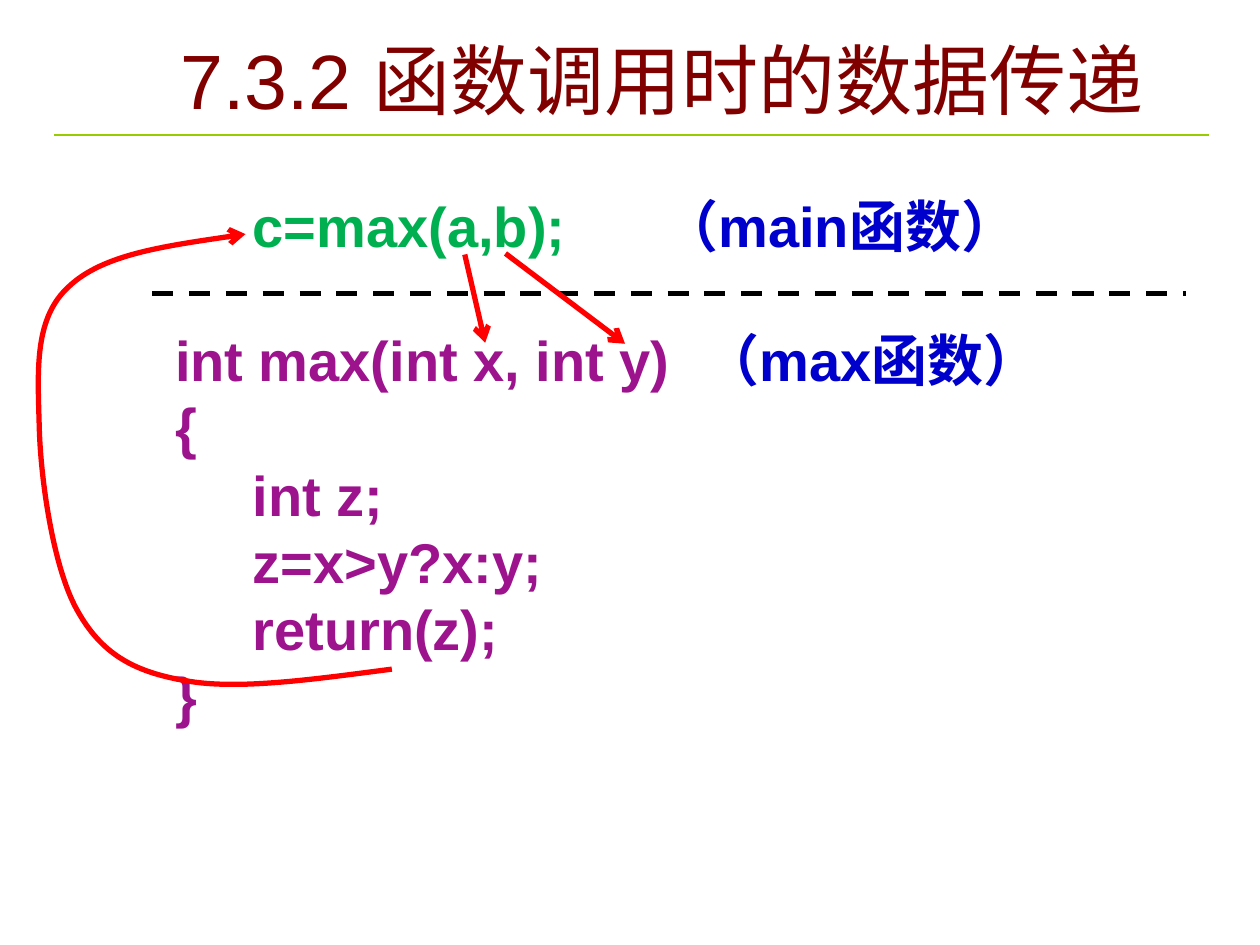
from lxml.etree import SubElement
from pptx import Presentation
from pptx.dml.color import RGBColor
from pptx.enum.dml import MSO_LINE_DASH_STYLE as Dash
from pptx.enum.shapes import MSO_CONNECTOR_TYPE as Connector
from pptx.enum.text import MSO_ANCHOR as Anchor, MSO_AUTO_SIZE as AutoSize, PP_ALIGN as Align
from pptx.oxml.ns import qn
from pptx.util import Cm, Pt

BLACK = RGBColor(0x00, 0x00, 0x00)
MAROON = RGBColor(0x80, 0x00, 0x00)
LIME = RGBColor(0x99, 0xCC, 0x00)
GREEN = RGBColor(0x00, 0xB0, 0x50)
BLUE = RGBColor(0x00, 0x00, 0xCC)
PURPLE = RGBColor(0x9D, 0x13, 0x8D)
RED = RGBColor(0xFF, 0x00, 0x00)

LINE_PITCH = Pt(38.4)


def add_text(paragraph, text, *, size=32, color=BLACK, bold=True, font="Arial"):
    run = paragraph.add_run()
    run.text = text
    run.font.name = font
    run.font.size = Pt(size)
    run.font.bold = bold
    run.font.color.rgb = color


class SlideBuilder:
    """Holds the current slide and the shared line style."""

    def __init__(self, presentation):
        self.slide = presentation.slides.add_slide(presentation.slide_layouts[5])
        self.shapes = self.slide.shapes

    def style_line(self, shape, color, width, dash=None, arrow=False):
        shape.line.color.rgb = color
        shape.line.width = Pt(width)
        if dash:
            shape.line.dash_style = dash
        properties = shape._element.spPr
        if arrow:
            SubElement(properties.find(qn("a:ln")), qn("a:tailEnd"), type="arrow")
        if properties.find(qn("a:effectLst")) is None:
            SubElement(properties, qn("a:effectLst"))

    def title(self, text, left, top, width, height):
        shape = self.shapes.title
        shape.left, shape.top = Cm(left), Cm(top)
        shape.width, shape.height = Cm(width), Cm(height)
        frame = shape.text_frame
        frame.auto_size = AutoSize.NONE
        frame.vertical_anchor = Anchor.MIDDLE
        paragraph = frame.paragraphs[0]
        paragraph.alignment = Align.CENTER
        add_text(paragraph, text, size=44, color=MAROON, bold=False)

    def line(self, start, end, color, width=3, **style):
        points = [Cm(value) for value in (*start, *end)]
        connector = self.shapes.add_connector(Connector.STRAIGHT, *points)
        self.style_line(connector, color, width, **style)

    def curve(self, points, color, width=3):
        """Draw cubic curves: a start, then two handles and an end for each."""
        start, *rest = [(Cm(x), Cm(y)) for x, y in points]
        builder = self.shapes.build_freeform(*start)
        builder.add_line_segments(rest, close=False)
        shape = builder.convert_to_shape()
        shape.shadow.inherit = False
        shape.fill.background()
        path = next(shape._element.iter(qn("a:path")))
        segments = path.findall(qn("a:lnTo"))
        for first in range(0, len(segments), 3):
            bezier = SubElement(path, qn("a:cubicBezTo"))
            for segment in segments[first:first + 3]:
                bezier.append(segment[0])
                path.remove(segment)
        self.style_line(shape, color, width, arrow=True)

    def code(self, lines, left, top, width, height):
        """Each line is (code, color, note, note position, space before)."""
        box = self.shapes.add_textbox(Cm(left), Cm(top), Cm(width), Cm(height))
        frame = box.text_frame
        frame.word_wrap = True
        for index, (text, color, note, position, gap) in enumerate(lines):
            paragraph = frame.paragraphs[0] if index == 0 else frame.add_paragraph()
            if note:
                tabs = SubElement(paragraph._p.get_or_add_pPr(), qn("a:tabLst"))
                SubElement(tabs, qn("a:tab"), pos=str(Cm(position)), algn="l")
            paragraph.line_spacing = LINE_PITCH
            if gap:
                paragraph.space_before = gap
            add_text(paragraph, text, color=color)
            if note:
                add_text(paragraph, "\t" + note, color=BLUE)


def main():
    presentation = Presentation()
    presentation.slide_width, presentation.slide_height = Cm(25.4), Cm(19.05)
    builder = SlideBuilder(presentation)

    # Title and its rule
    builder.line((1.09, 2.72), (24.38, 2.72), LIME, width=1.5)
    builder.title("7.3.2 函数调用时的数据传递", 3, 0.53, 20.7, 2.13)

    # Caller and called function
    body = ["{", "     int z;", "     z=x>y?x:y;", "     return(z);", "}"]
    builder.code([
        ("     c=max(a,b);", GREEN, "（main函数）", 9.82, None),
        ("int max(int x, int y)", PURPLE, "（max函数）", 10.65, LINE_PITCH),
        *((text, PURPLE, None, None, None) for text in body),
    ], 3.28, 3.73, 21.82, 12.12)
    builder.line((3.07, 5.92), (23.9, 5.92), BLACK, dash=Dash.DASH)

    # Arguments passed down
    builder.line((9.37, 5.13), (9.78, 6.91), RED, arrow=True)
    builder.line((10.19, 5.11), (12.6, 6.93), RED, arrow=True)

    # Result returned to the caller
    builder.curve([
        (7.9, 13.49),
        (6.35, 13.69), (4.78, 13.92), (3.73, 13.72),
        (2.67, 13.54), (2.03, 13.16), (1.55, 12.29),
        (1.07, 11.43), (0.81, 9.63), (0.79, 8.53),
        (0.76, 7.44), (0.69, 6.4), (1.4, 5.77),
        (2.08, 5.13), (3.53, 4.93), (4.95, 4.72),
    ], RED)

    presentation.save("out.pptx")


if __name__ == "__main__":
    main()
